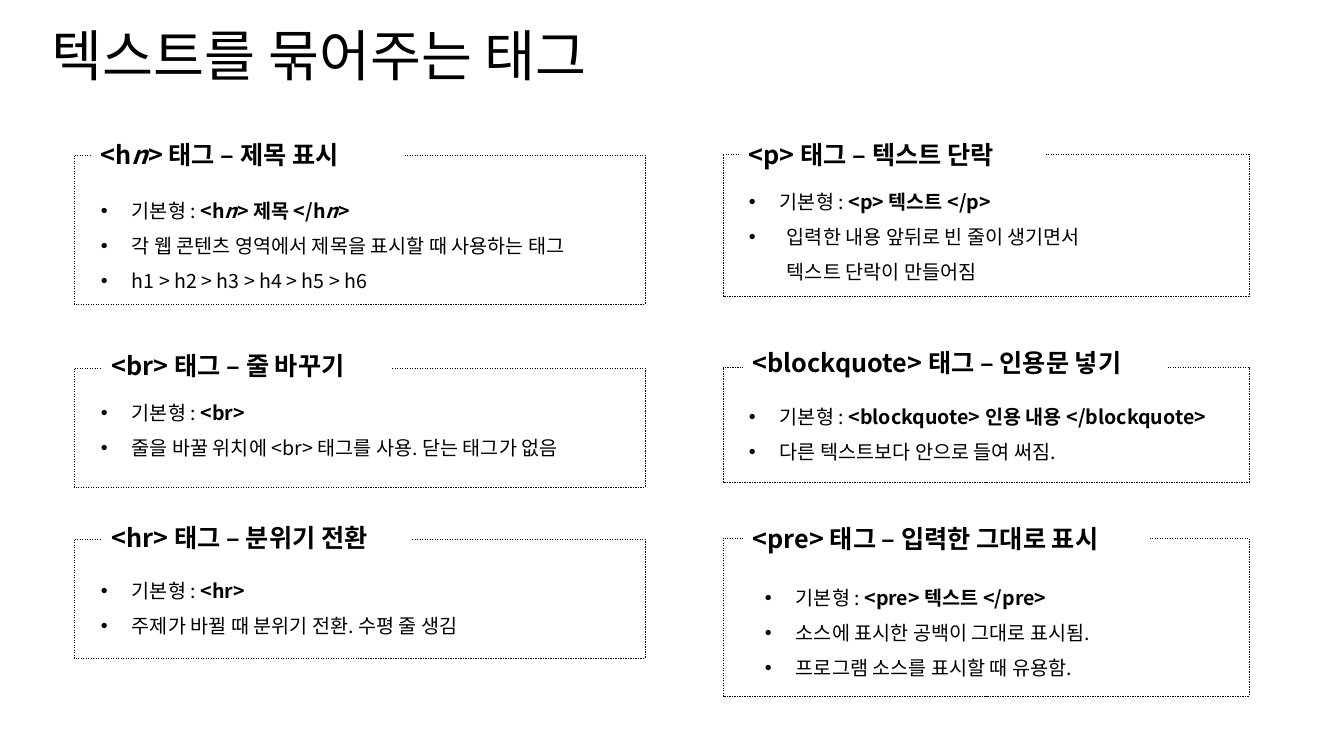
import pptx
import pptx.dml.color
import pptx.enum.dml
import pptx.enum.shapes
import pptx.enum.text
import pptx.oxml
import pptx.oxml.ns
import pptx.util

TITLE = "텍스트를 묶어주는 태그"
FORM_LABEL = "기본형 : "

# Underscores enclose italics; boxes are (left, top, width, height) in px.
CARDS = [
    {"frame": (74, 155, 571, 149), "heading": "<h_n_> 태그 – 제목 표시",
     "heading_box": (91, 134, 312, 40), "form": "<h_n_> 제목 </h_n_>",
     "notes": ["각 웹 콘텐츠 영역에서 제목을 표시할 때 사용하는 태그",
               "h1 > h2 > h3 > h4 > h5 > h6"],
     "body_box": (91, 182, 605, 137)},
    {"frame": (74, 368, 571, 119), "heading": "<br> 태그 – 줄 바꾸기",
     "heading_box": (102, 345, 289, 40), "form": "<br>",
     "notes": ["줄을 바꿀 위치에 <br> 태그를 사용. 닫는 태그가 없음"],
     "body_box": (91, 384, 605, 78)},
    {"frame": (74, 539, 571, 119), "heading": "<hr> 태그 – 분위기 전환",
     "heading_box": (102, 517, 310, 40), "form": "<hr>",
     "notes": ["주제가 바뀔 때 분위기 전환. 수평 줄 생김"],
     "body_box": (91, 562, 605, 78)},
    {"frame": (723, 154, 526, 142), "heading": "<p> 태그 – 텍스트 단락",
     "heading_box": (739, 134, 306, 40), "form": "<p> 텍스트 </p>",
     "notes": ["입력한 내용 앞뒤로 빈 줄이 생기면서\n텍스트 단락이 만들어짐"],
     "note_indent": 38, "body_box": (739, 173, 431, 114)},
    {"frame": (723, 367, 526, 115), "heading": "<blockquote> 태그 – 인용문 넣기",
     "heading_box": (743, 342, 424, 40), "form": "<blockquote> 인용 내용 </blockquote>",
     "notes": ["다른 텍스트보다 안으로 들여 써짐."],
     "body_box": (739, 388, 605, 78)},
    {"frame": (723, 538, 526, 158), "heading": "<pre> 태그 – 입력한 그대로 표시",
     "heading_box": (743, 518, 407, 40), "form": "<pre> 텍스트 </pre>",
     "notes": ["소스에 표시한 공백이 그대로 표시됨.",
               "프로그램 소스를 표시할 때 유용함."],
     "body_box": (755, 569, 605, 137)},
]

THEME = {
    "ink": pptx.dml.color.RGBColor(0, 0, 0),
    "paper": pptx.dml.color.RGBColor(255, 255, 255),
    "title": {"size": pptx.util.Pt(39.6), "name": "Calibri"},
    "heading": {"size": pptx.util.Pt(18), "name": "Noto Sans CJK KR", "bold": True},
    "body": {"size": pptx.util.Pt(14), "name": "Noto Sans CJK KR"},
    "east_asian": "Noto Sans CJK KR",
    "line": pptx.util.Pt(0.25),
}
SLIDE_SIZE = (1344, 756)
TITLE_BOX = (42, 22, 1002, 74)
BULLET_INDENT = 31


def px(length):
    return round(length * 914400 / 100.8)


def emu_box(box):
    return [px(length) for length in box]


def add_run(paragraph, text, style, **extra):
    run = paragraph.add_run()
    run.text = text
    for name, value in {**style, **extra}.items():
        setattr(run.font, name, value)
    run.font.color.rgb = THEME["ink"]
    east_asian = pptx.oxml.parse_xml(
        f'<a:ea {pptx.oxml.ns.nsdecls("a")} typeface="{THEME["east_asian"]}"/>')
    run.font._element.find(pptx.oxml.ns.qn("a:latin")).addnext(east_asian)


def add_marked_text(paragraph, text, style, **extra):
    """Write text, with the parts between underscores in italics."""
    for index, part in enumerate(text.split("_")):
        if part:
            add_run(paragraph, part, style, italic=index % 2 == 1, **extra)


def add_rectangle(slide, box):
    shape = slide.shapes.add_shape(
        pptx.enum.shapes.MSO_SHAPE.RECTANGLE, *emu_box(box))
    shape.shadow.inherit = False
    return shape


def add_frame(slide, box):
    shape = add_rectangle(slide, box)
    shape.fill.background()
    shape.line.color.rgb = THEME["ink"]
    shape.line.width = THEME["line"]
    shape.line.dash_style = pptx.enum.dml.MSO_LINE.DASH


def add_heading(slide, text, box):
    shape = add_rectangle(slide, box)
    shape.fill.solid()
    shape.fill.fore_color.rgb = THEME["paper"]
    shape.line.fill.background()
    frame = shape.text_frame
    frame.word_wrap = True
    frame.vertical_anchor = pptx.enum.text.MSO_ANCHOR.TOP
    paragraph = frame.paragraphs[0]
    paragraph.alignment = pptx.enum.text.PP_ALIGN.LEFT
    add_marked_text(paragraph, text, THEME["heading"])


def format_bullet(paragraph, indent):
    paragraph.line_spacing = 1.5
    properties = paragraph._p.get_or_add_pPr()
    properties.set("marL", str(px(indent)))
    properties.set("indent", str(-px(indent)))
    namespace = pptx.oxml.ns.nsdecls("a")
    for tag in ('buFont {} typeface="Arial"', 'buChar {} char="•"'):
        properties.append(pptx.oxml.parse_xml(f"<a:{tag.format(namespace)}/>"))


def add_body(slide, card):
    frame = slide.shapes.add_textbox(*emu_box(card["body_box"])).text_frame
    frame.word_wrap = True
    paragraph = frame.paragraphs[0]
    format_bullet(paragraph, BULLET_INDENT)
    add_run(paragraph, FORM_LABEL, THEME["body"])
    add_marked_text(paragraph, card["form"], THEME["body"], bold=True)
    for note in card["notes"]:
        paragraph = frame.add_paragraph()
        format_bullet(paragraph, card.get("note_indent", BULLET_INDENT))
        for index, line in enumerate(note.split("\n")):
            if index:
                paragraph.add_line_break()
            add_run(paragraph, line, THEME["body"])


def add_title(slide):
    frame = slide.shapes.add_textbox(*emu_box(TITLE_BOX)).text_frame
    frame.word_wrap = True
    frame.vertical_anchor = pptx.enum.text.MSO_ANCHOR.MIDDLE
    frame.paragraphs[0].line_spacing = 0.9
    add_run(frame.paragraphs[0], TITLE, THEME["title"])


def main():
    presentation = pptx.Presentation()
    presentation.slide_width, presentation.slide_height = emu_box(SLIDE_SIZE)
    slide = presentation.slides.add_slide(presentation.slide_layouts[6])
    add_title(slide)
    for card in CARDS:
        add_frame(slide, card["frame"])
        add_heading(slide, card["heading"], card["heading_box"])
        add_body(slide, card)
    presentation.save("out.pptx")


if __name__ == "__main__":
    main()
